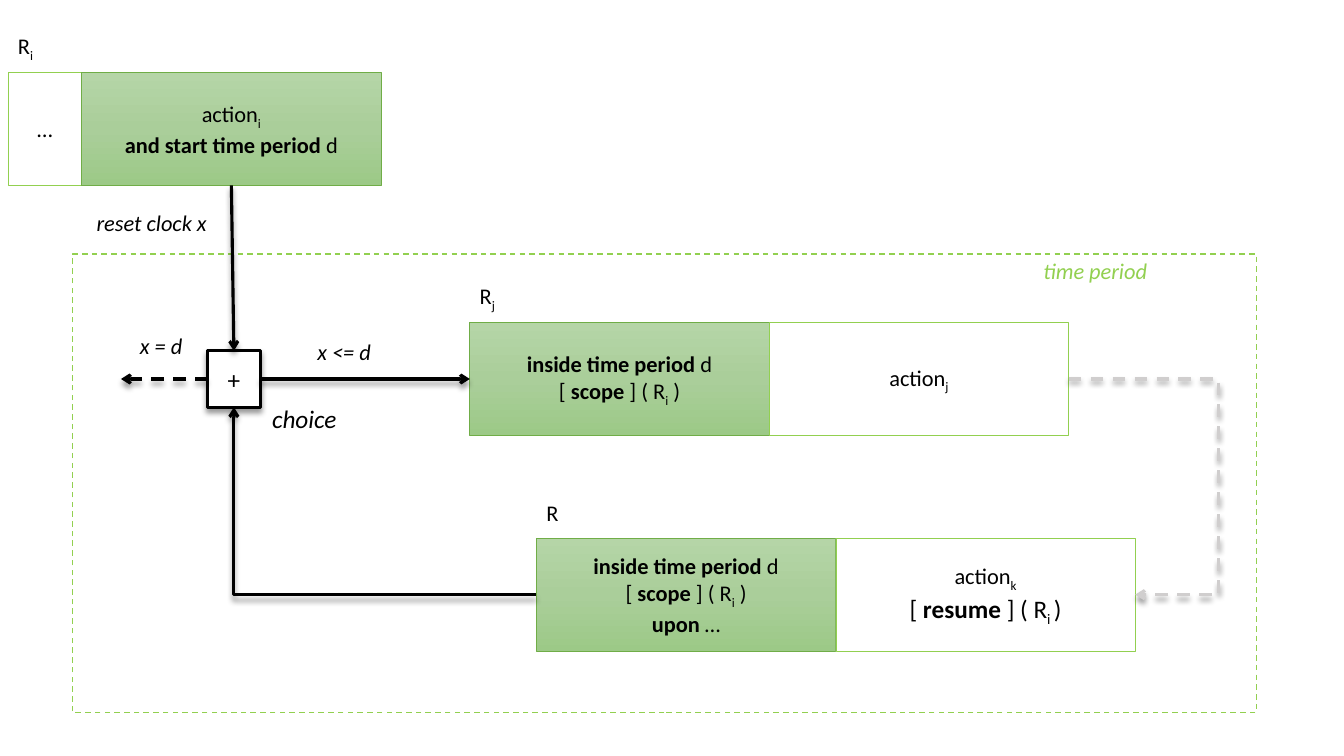
from copy import deepcopy

from lxml.etree import SubElement
from pptx import Presentation
from pptx.dml.color import RGBColor
from pptx.enum.dml import MSO_LINE
from pptx.enum.shapes import MSO_CONNECTOR, MSO_SHAPE
from pptx.enum.text import MSO_ANCHOR, MSO_AUTO_SIZE, PP_ALIGN
from pptx.oxml.ns import qn
from pptx.util import Inches, Pt

BLACK, WHITE, GREY = "000000", "FFFFFF", "D0CECE"
LIME, GREEN = "92D050", "70AD47"
GRADIENT = [(0, "B5D5A7"), (0.5, "AACE9A"), (1, "9CC987")]
BOX_WIDTH, BOX_HEIGHT = 2.97, 1.12
TOP, LEFT, BOTTOM, RIGHT = range(4)

INSIDE = [("inside time period ", "b"), ("d", "")]
SCOPE = [("[ ", ""), ("scope", "b"), (" ] ( R", ""), ("i", "s"), (" )", "")]
START = [[("action", ""), ("i", "s")],
         [("and start time period ", "b"), ("d", "")]]
ACTION_J = [[("action", ""), ("j", "s")]]
ACTION_K = [[("action", ""), ("k", "s")],
            [("[ ", "L"), ("resume ", "bL"), ("] ( R", "L"), ("i ", "sL"), (")", "L")]]
UPON = [[*INSIDE], SCOPE, [("upon", "b"), (" …", "")]]

RULES = [
    ("i", 0.08, 0.72, 0.45, [("before", 0.73, None, [[("…", "")]]),
                             ("start", BOX_WIDTH, GRADIENT, START)]),
    ("j", 4.66, 3.2, 0.45, [("scope j", BOX_WIDTH, GRADIENT, [INSIDE, SCOPE]),
                            ("action j", BOX_WIDTH, None, ACTION_J)]),
    ("k", 5.32, 5.34, 0.44, [("scope k", BOX_WIDTH, GRADIENT, UPON),
                             ("action k", BOX_WIDTH, WHITE, ACTION_K)]),
]
CAPTIONS = [
    ("reset clock x", 0.86, 2.03, 1.36, "i", BLACK),
    ("x <= d", 3.05, 3.31, 0.74, "i", BLACK),
    ("x = d", 1.29, 3.25, 0.63, "i", BLACK),
    ("time period", 10.25, 2.5, 1.25, "i", LIME),
    ("choice", 2.6, 3.95, 0.87, "iL", BLACK),
]
PERIOD = (0.72, 2.52, 11.74, 4.55)
CHOICE = (2.06, 3.48, 0.52, 0.56)
TIMEOUT_X = 1.2
RETURN_BEND = 2.256

presentation = Presentation()
presentation.slide_width, presentation.slide_height = Inches(13.33), Inches(7.5)
slide = presentation.slides.add_slide(presentation.slide_layouts[6])


def rgb(color):
    return RGBColor.from_string(color)


def write(frame, paragraphs, color=BLACK, align=PP_ALIGN.CENTER):
    for index, runs in enumerate(paragraphs):
        paragraph = frame.paragraphs[0] if index == 0 else frame.add_paragraph()
        paragraph.alignment = align
        for words, style in runs:
            run = paragraph.add_run()
            run.text = words
            run.font.name = "Calibri"
            run.font.size = Pt(18 if "L" in style else 16)
            run.font.bold = "b" in style
            run.font.italic = "i" in style
            run.font.color.rgb = rgb(color)
            if "s" in style:
                run.font._element.set("baseline", "-25000")


def add_box(place, fill, line, weight, paragraphs=()):
    box = slide.shapes.add_shape(MSO_SHAPE.RECTANGLE, *map(Inches, place))
    box.shadow.inherit = False
    box.line.color.rgb = rgb(line)
    box.line.width = Pt(weight)
    if fill is GRADIENT:
        box.fill.gradient()
        box.fill.gradient_angle = 270
        stops = box._element.spPr.find(".//" + qn("a:gsLst"))
        stops.insert(1, deepcopy(stops[0]))
        for stop, (position, color) in zip(box.fill.gradient_stops, GRADIENT):
            stop.position = position
            stop.color.rgb = rgb(color)
    elif fill:
        box.fill.solid()
        box.fill.fore_color.rgb = rgb(fill)
    else:
        box.fill.background()
    box.text_frame.vertical_anchor = MSO_ANCHOR.MIDDLE
    write(box.text_frame, paragraphs)
    return box


def add_label(runs, left, top, width, color=BLACK):
    label = slide.shapes.add_textbox(*map(Inches, (left, top, width, 0.37)))
    label.text_frame.word_wrap = False
    label.text_frame.auto_size = MSO_AUTO_SIZE.SHAPE_TO_FIT_TEXT
    write(label.text_frame, [runs], color, PP_ALIGN.LEFT)


def add_shadow(effects):
    shadow = SubElement(effects, qn("a:outerShdw"), blurRad=str(Pt(4)), dist=str(Pt(3)),
                        dir="5400000", rotWithShape="0")
    black = SubElement(shadow, qn("a:srgbClr"), val=BLACK)
    SubElement(black, qn("a:alpha"), val="40000")


def add_arrow(kind, start, start_side, end=None, end_side=None, color=BLACK,
              dashed=False, arrow_at="tailEnd"):
    arrow = slide.shapes.add_connector(kind, 0, 0, 0, 0)
    arrow.begin_connect(start, start_side)
    if end is None:
        arrow.end_x, arrow.end_y = Inches(TIMEOUT_X), arrow.begin_y
    else:
        arrow.end_connect(end, end_side)
    arrow.line.color.rgb = rgb(color)
    arrow.line.width = Pt(2.25)
    if dashed:
        arrow.line.dash_style = MSO_LINE.DASH
    properties = arrow._element.spPr
    SubElement(properties.find(qn("a:ln")), qn("a:" + arrow_at), type="arrow")
    add_shadow(SubElement(properties, qn("a:effectLst")))
    return arrow


period = add_box(PERIOD, None, LIME, 1)
period.line.dash_style = MSO_LINE.DASH

boxes = {}
for subscript, left, top, rise, parts in RULES:
    add_label([("R", ""), (subscript, "s")], left, top - rise, 0.36)
    for part, width, fill, paragraphs in parts:
        line, weight = (GREEN, 0.5) if fill is GRADIENT else (LIME, 0.25)
        boxes[part] = add_box((left, top, width, BOX_HEIGHT), fill, line, weight, paragraphs)
        left += width

for words, left, top, width, style, color in CAPTIONS:
    add_label([(words, style)], left, top, width, color)

choice = add_box(CHOICE, WHITE, BLACK, 2.25, [[("+", "L")]])
add_shadow(choice._element.spPr.find(qn("a:effectLst")))

add_arrow(MSO_CONNECTOR.STRAIGHT, choice, RIGHT, boxes["scope j"], LEFT)
add_arrow(MSO_CONNECTOR.STRAIGHT, boxes["start"], BOTTOM, choice, TOP)
add_arrow(MSO_CONNECTOR.STRAIGHT, choice, LEFT, dashed=True)

resume = add_arrow(MSO_CONNECTOR.ELBOW, boxes["action j"], RIGHT, boxes["action k"], RIGHT,
                   GREY, dashed=True)
bend = resume._element.spPr.find(qn("a:prstGeom"))
SubElement(bend.find(qn("a:avLst")), qn("a:gd"), name="adj1",
           fmla=f"val {round(RETURN_BEND * 100000)}")

retry = add_arrow(MSO_CONNECTOR.ELBOW, choice, BOTTOM, boxes["scope k"], LEFT,
                  arrow_at="headEnd")
across, down = retry.width, retry.height
retry.left += (across - down) // 2
retry.top -= (across - down) // 2
retry.width, retry.height = down, across
retry._element.spPr.find(qn("a:prstGeom")).set("prst", "bentConnector2")
turn = retry._element.spPr.find(qn("a:xfrm"))
turn.set("rot", "16200000")
turn.set("flipH", "1")

presentation.save("out.pptx")
